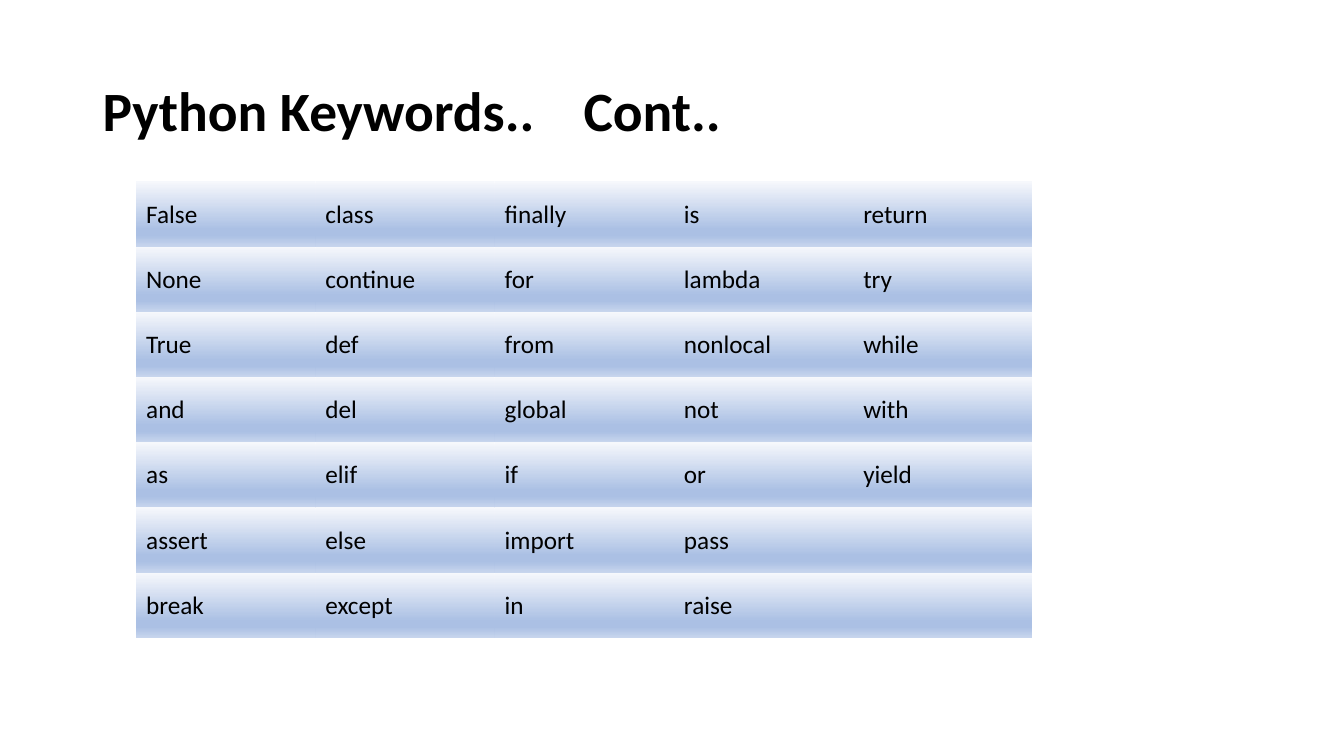
from lxml import etree
from pptx import Presentation
from pptx.dml.color import RGBColor
from pptx.enum.text import MSO_ANCHOR
from pptx.oxml.ns import qn
from pptx.util import Inches, Pt

MIDDLE = MSO_ANCHOR.MIDDLE
FONT = "Calibri"
BLACK = "000000"
NO_GRID_STYLE = "{2D5ABB26-0587-4C30-8999-92F81FD0307C}"
CELL_STOPS = [(0, "F6F8FC"), (74, "ABC0E4"), (83, "ABC0E4"), (100, "C7D5ED")]
TITLE_FORMAT = {"name": FONT, "size": Pt(39.6), "bold": True}
CELL_FORMAT = {"name": FONT, "size": Pt(18), "bold": False}
CELL_LAYOUT = {
    "vertical_anchor": MIDDLE,
    "margin_left": Inches(0.1),
    "margin_top": Inches(0.1),
    "margin_right": Inches(0.08),
    "margin_bottom": Inches(0.09),
}
KEYWORDS = [
    ["False", "class", "finally", "is", "return"],
    ["None", "continue", "for", "lambda", "try"],
    ["True", "def", "from", "nonlocal", "while"],
    ["and", "del", "global", "not", "with"],
    ["as", "elif", "if", "or", "yield"],
    ["assert", "else", "import", "pass", ""],
    ["break", "except", "in", "raise", ""],
]


def rgb(value):
    return RGBColor.from_string(value)


def set_attributes(target, values):
    for name, value in values.items():
        setattr(target, name, value)


def add_run(p, text, values):
    r = p.add_run()
    r.text = text
    set_attributes(r.font, values)
    r.font.color.rgb = rgb(BLACK)


def add_tab_stop(p, position):
    tabs = etree.SubElement(p._p.get_or_add_pPr(), qn("a:tabLst"))
    etree.SubElement(tabs, qn("a:tab"), pos=str(position), algn="l")


def add_title(s, text, left, top, width, height, tab):
    sp = s.shapes.add_textbox(left, top, width, height)
    tf = sp.text_frame
    set_attributes(tf, {"word_wrap": True, "vertical_anchor": MIDDLE})
    p = tf.paragraphs[0]
    p.line_spacing = 0.9
    add_tab_stop(p, tab)
    add_run(p, text, TITLE_FORMAT)


def fill_gradient(cell, stops):
    grad = etree.SubElement(cell._tc.get_or_add_tcPr(), qn("a:gradFill"))
    stop_list = etree.SubElement(grad, qn("a:gsLst"))
    for percent, color in stops:
        stop = etree.SubElement(stop_list, qn("a:gs"), pos=str(percent * 1000))
        etree.SubElement(stop, qn("a:srgbClr"), val=color)
    etree.SubElement(grad, qn("a:lin"), ang="5400000", scaled="0")


def add_keyword_table(s, rows, left, top, width, height):
    frame = s.shapes.add_table(len(rows), len(rows[0]), left, top, width, height)
    table = frame.table
    set_attributes(table, {"first_row": False, "horz_banding": False})
    table._tbl.tblPr.find(qn("a:tableStyleId")).text = NO_GRID_STYLE
    for i, words in enumerate(rows):
        for j, word in enumerate(words):
            cell = table.cell(i, j)
            set_attributes(cell, CELL_LAYOUT)
            fill_gradient(cell, CELL_STOPS)
            if word:
                add_run(cell.text_frame.paragraphs[0], word, CELL_FORMAT)


def main():
    prs = Presentation()
    prs.slide_width, prs.slide_height = Inches(13.33), Inches(7.5)
    s = prs.slides.add_slide(prs.slide_layouts[6])
    add_title(s, "Python Keywords..\tCont..", Inches(0.92), Inches(0.4),
              Inches(11.5), Inches(1.45), Inches(4.77))
    add_keyword_table(s, KEYWORDS, Inches(1.35), Inches(1.8),
                      Inches(8.89), Inches(4.53))
    prs.save("out.pptx")


if __name__ == "__main__":
    main()
